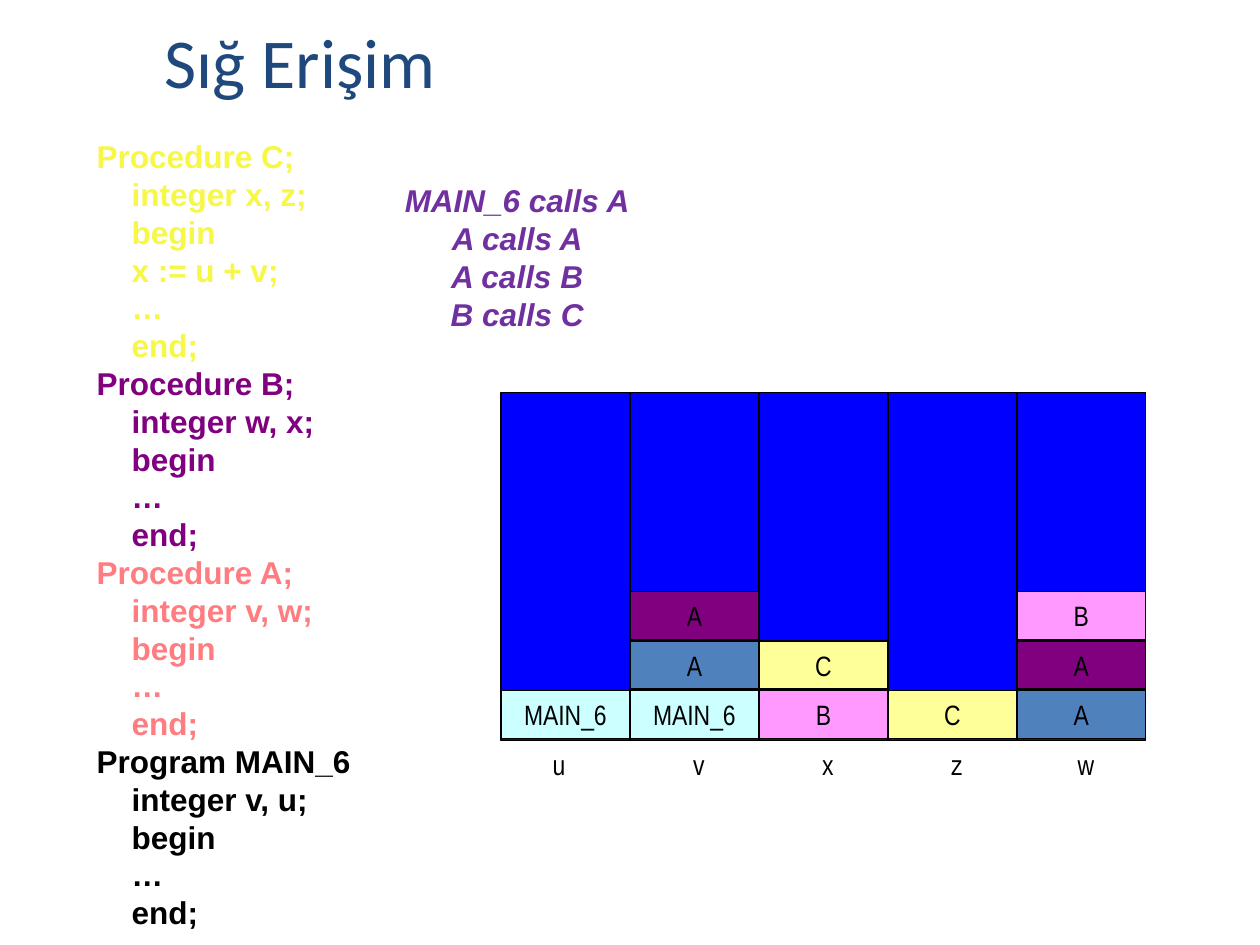
from dataclasses import dataclass

from pptx import Presentation
from pptx.dml.color import RGBColor
from pptx.enum.shapes import MSO_SHAPE
from pptx.enum.text import MSO_ANCHOR, PP_ALIGN
from pptx.util import Cm, Pt

RECTANGLE = MSO_SHAPE.RECTANGLE
TOP, MIDDLE = MSO_ANCHOR.TOP, MSO_ANCHOR.MIDDLE
LEFT, CENTER = PP_ALIGN.LEFT, PP_ALIGN.CENTER


@dataclass(frozen=True)
class Theme:
    title_font: str = "Calibri"
    code_font: str = "Arial"
    stack_font: str = "Arial Narrow"
    title_size: int = 40
    code_size: int = 18
    stack_size: int = 16
    code_pitch: float = 21.6
    line_width: float = 0.75
    navy: str = "1F497D"
    violet: str = "7030A0"
    black: str = "000000"
    yellow: str = "F7F745"
    purple: str = "800080"
    coral: str = "FF7C80"
    blue: str = "0000FF"
    cyan: str = "CCFFFF"
    steel: str = "4F81BD"
    pink: str = "FF99FF"
    cream: str = "FFFF99"


theme = Theme()


def write_lines(shape, lines, font, size, align=LEFT, anchor=TOP, wrap=True,
                pitch=None, bold=False, italic=False):
    """Write (text, color) pairs, one paragraph each."""
    frame = shape.text_frame
    frame.word_wrap = wrap
    frame.vertical_anchor = anchor
    for index, (text, color) in enumerate(lines):
        paragraph = frame.add_paragraph() if index else frame.paragraphs[0]
        paragraph.alignment = align
        if pitch:
            paragraph.line_spacing = Pt(pitch)
        run = paragraph.add_run()
        run.text = text
        run.font.name = font
        run.font.size = Pt(size)
        run.font.bold = bold
        run.font.italic = italic
        run.font.color.rgb = RGBColor.from_string(color)


def add_box(left, top, width, height, fill):
    shape = slide.shapes.add_shape(RECTANGLE, Cm(left), Cm(top), Cm(width), Cm(height))
    shape.shadow.inherit = False
    shape.fill.solid()
    shape.fill.fore_color.rgb = RGBColor.from_string(fill)
    shape.line.color.rgb = RGBColor.from_string(theme.black)
    shape.line.width = Pt(theme.line_width)
    return shape


presentation = Presentation()
presentation.slide_width, presentation.slide_height = Cm(25.4), Cm(19.05)
slide = presentation.slides.add_slide(presentation.slide_layouts[6])

# Title
title = slide.shapes.add_textbox(Cm(3.07), Cm(0.13), Cm(13.03), Cm(2.16))
write_lines(title, [("Sığ Erişim", theme.navy)], theme.title_font,
            theme.title_size, anchor=MIDDLE)

# Program listing, one color per procedure
procedures = [
    (theme.yellow, "Procedure C;", ["integer x, z;", "begin", "x := u + v;", "…", "end;"]),
    (theme.purple, "Procedure B;", ["integer w, x;", "begin", "…", "end;"]),
    (theme.coral, "Procedure A;", ["integer v, w;", "begin", "…", "end;"]),
    (theme.black, "Program MAIN_6", ["integer v, u;", "begin", "…", "end;"]),
]
code_lines = []
for color, header, body in procedures:
    code_lines.append((header, color))
    code_lines += [("    " + line, color) for line in body]
listing = slide.shapes.add_textbox(Cm(1.7), Cm(2.64), Cm(5.9), Cm(16.4))
write_lines(listing, code_lines, theme.code_font, theme.code_size,
            pitch=theme.code_pitch, bold=True)

# Call sequence
calls = ["MAIN_6 calls A", "A calls A", "A calls B", "B calls C"]
call_box = slide.shapes.add_textbox(Cm(7.9), Cm(3.53), Cm(5.05), Cm(3.3))
write_lines(call_box, [(call, theme.violet) for call in calls], theme.code_font,
            theme.code_size, align=CENTER, wrap=False, pitch=theme.code_pitch,
            bold=True, italic=True)

# One stack per variable: name, label offset, cells from the bottom up
stacks = [
    ("u", -0.13, [("MAIN_6", theme.cyan)]),
    ("v", 0.09, [("MAIN_6", theme.cyan), ("A", theme.steel), ("A", theme.purple)]),
    ("x", 0.09, [("B", theme.pink), ("C", theme.cream)]),
    ("z", 0.09, [("C", theme.cream)]),
    ("w", 0.09, [("A", theme.steel), ("A", theme.purple), ("B", theme.pink)]),
]
stack_left, stack_top, stack_width, stack_height = 10.1, 7.92, 2.6, 7.01
cell_bottom, cell_height, cell_step = 14.89, 0.97, 1.0

for column, (variable, label_offset, cells) in enumerate(stacks):
    left = stack_left + column * stack_width
    add_box(left, stack_top, stack_width, stack_height, theme.blue)

    label = slide.shapes.add_textbox(Cm(left + label_offset), Cm(14.94),
                                     Cm(stack_width), Cm(0.94))
    write_lines(label, [(variable, theme.black)], theme.stack_font,
                theme.stack_size, align=CENTER)

    for level, (caller, fill) in enumerate(cells):
        top = cell_bottom - cell_height - level * cell_step
        cell = add_box(left, top, stack_width, cell_height, fill)
        write_lines(cell, [(caller, theme.black)], theme.stack_font,
                    theme.stack_size, align=CENTER, anchor=MIDDLE)

presentation.save("out.pptx")
